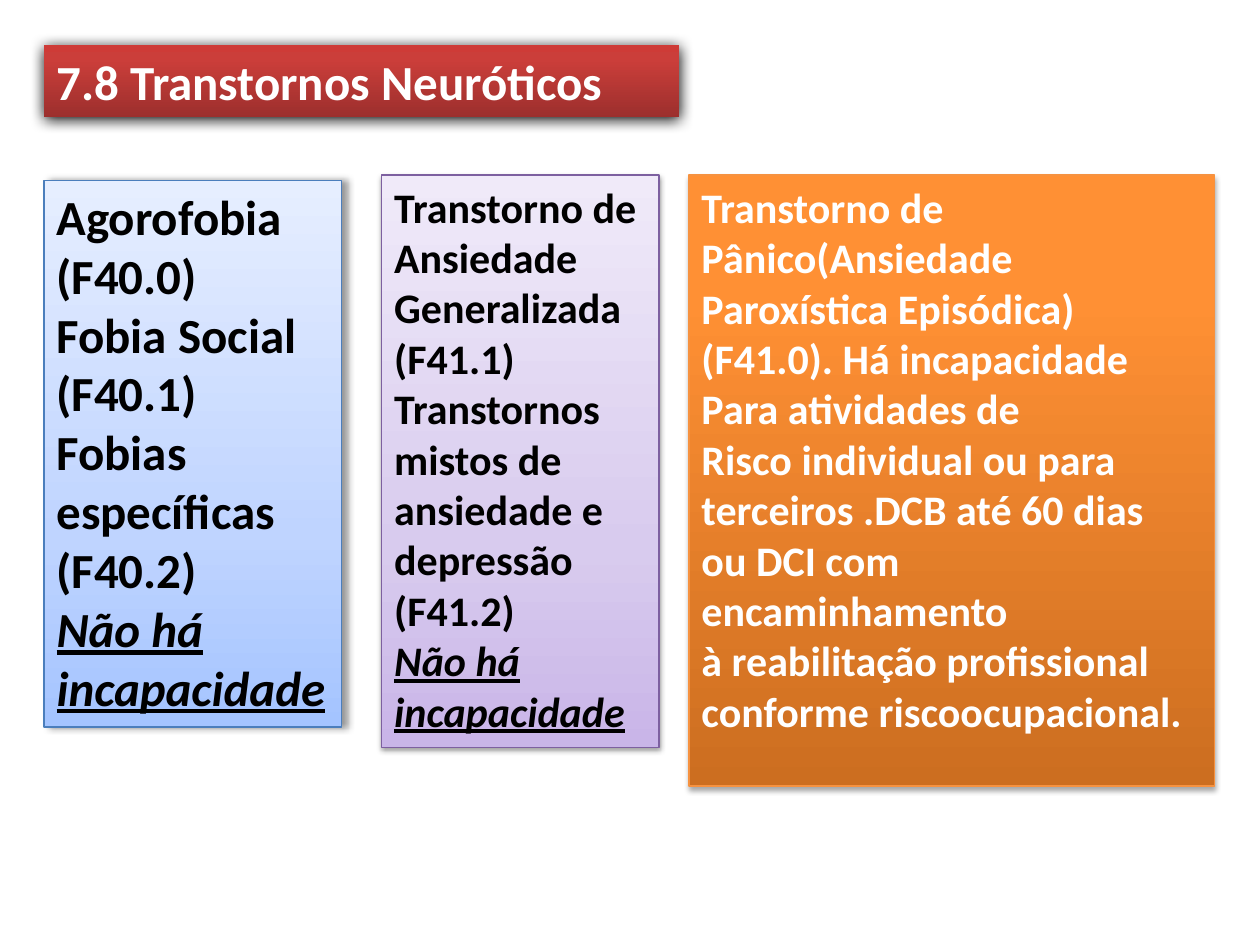
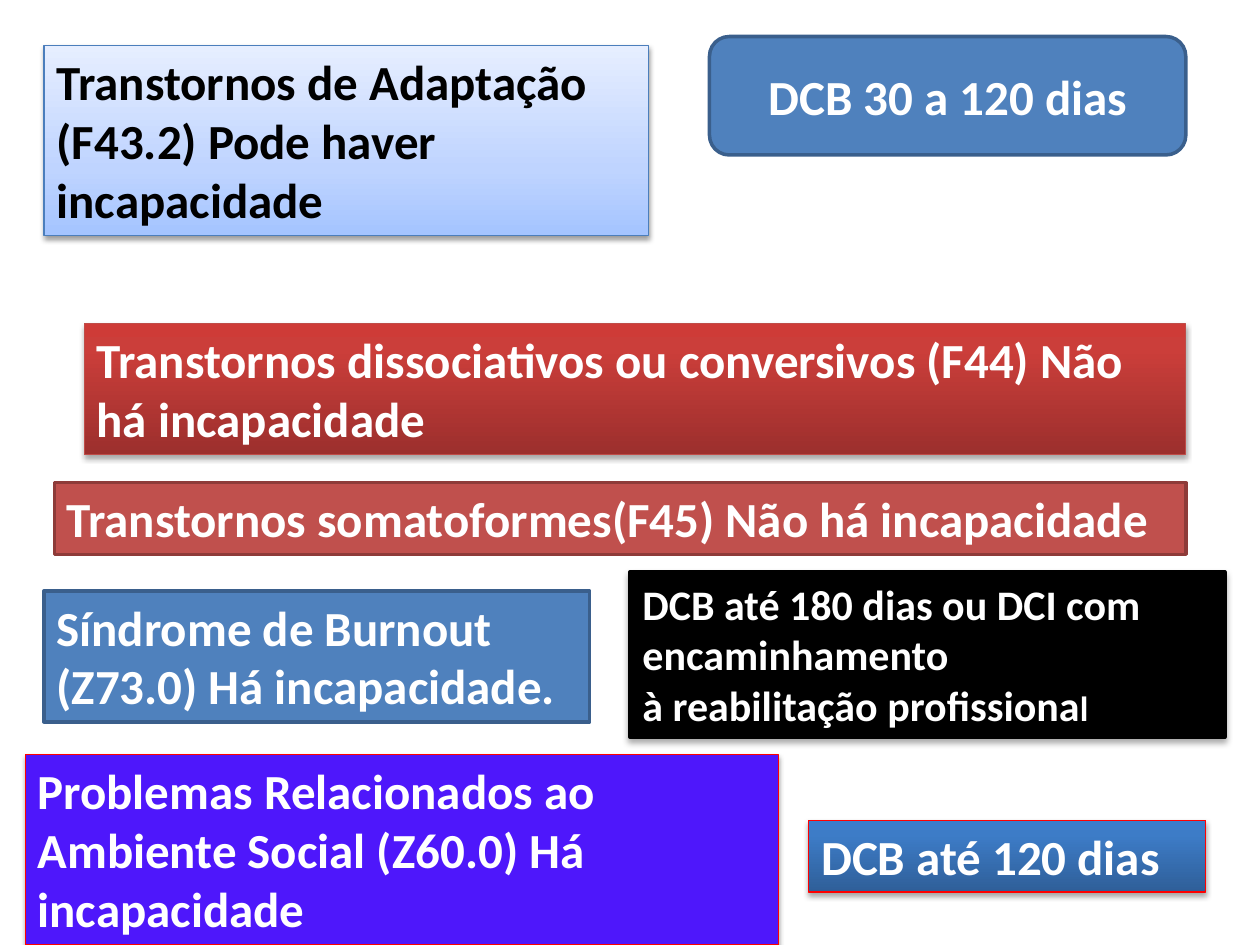
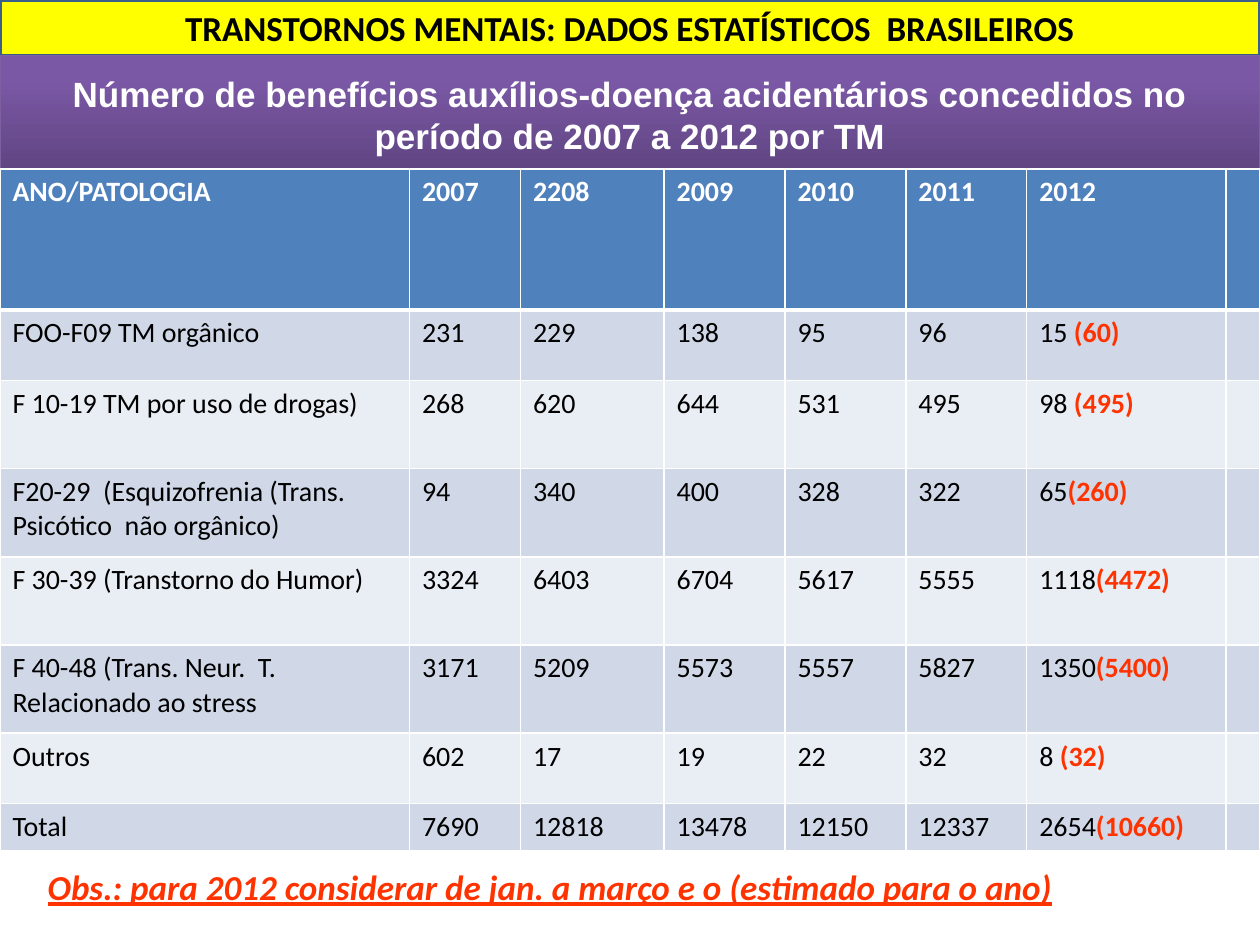
from dataclasses import dataclass
from typing import NamedTuple, Optional, Union

from lxml import etree
from pptx import Presentation
from pptx.dml.color import RGBColor
from pptx.enum.shapes import MSO_SHAPE
from pptx.enum.text import MSO_ANCHOR, MSO_AUTO_SIZE, PP_ALIGN
from pptx.oxml.ns import qn
from pptx.util import Pt

RECT, ROUNDED = MSO_SHAPE.RECTANGLE, MSO_SHAPE.ROUNDED_RECTANGLE
TOP, MIDDLE = MSO_ANCHOR.TOP, MSO_ANCHOR.MIDDLE
LEFT, CENTER = PP_ALIGN.LEFT, PP_ALIGN.CENTER
FIXED_SIZE = MSO_AUTO_SIZE.NONE
TITLE_ONLY_LAYOUT = 5

Gradient = tuple[tuple[int, str], ...]


@dataclass(frozen=True)
class Theme:
    font: str = "Calibri"
    banner_font: str = "Arial"
    large: float = 28
    medium: float = 24
    small: float = 20
    cell: float = 16
    white: str = "FFFFFF"
    black: str = "000000"
    alert: str = "FF3300"
    blue: str = "4F81BD"
    blue_edge: str = "3A5F8C"
    brick: str = "C0504D"
    brick_edge: str = "8E3B39"
    violet: str = "4E17FB"
    red_edge: str = "FF0000"
    yellow: str = "FFFF00"
    bands: tuple[str, str] = ("D0D8E8", "E9EDF4")
    # Gradients run from bottom to top
    red_fade: Gradient = ((0, "9C2F2D"), (80, "CB3E3A"), (100, "CE3B37"))
    sky_fade: Gradient = ((0, "A4C4FF"), (35, "BFD4FF"), (100, "E6EEFF"))
    lilac_fade: Gradient = ((0, "C9B5E8"), (35, "D8CBEE"), (100, "F0EAF9"))
    orange_fade: Gradient = ((0, "CC6E20"), (80, "FF9034"), (100, "FF9136"))
    blue_fade: Gradient = ((0, "2F5F99"), (80, "3D7CC7"), (100, "3A7CCB"))
    purple_fade: Gradient = ((0, "5F4480"), (80, "7B58A6"), (100, "7C57A8"))


THEME = Theme()


class Shadow(NamedTuple):
    opacity: int
    blur: float
    distance: float
    angle: int = 90


SOFT = Shadow(38, 3.1, 1.6)
STRONG = Shadow(35, 3.1, 1.8)


class Look(NamedTuple):
    fill: Union[str, Gradient, None]
    line: Optional[str] = None
    line_width: float = 0.75
    shadow: Optional[Shadow] = None
    color: str = THEME.white


RED_TITLE = Look(THEME.red_fade, shadow=Shadow(100, 8.5, 1))
SKY = Look(THEME.sky_fade, "4B7EBC", shadow=SOFT, color=THEME.black)
SKY_SIDE = SKY._replace(shadow=Shadow(40, 4, 3, 0))
LILAC = Look(THEME.lilac_fade, "7D60A0", shadow=SOFT, color=THEME.black)
ORANGE = Look(THEME.orange_fade, "F69240", shadow=STRONG)
RED = Look(THEME.red_fade, "BF4C48", shadow=STRONG)
BLUE = Look(THEME.blue, THEME.blue_edge, 2)
BRICK = Look(THEME.brick, THEME.brick_edge, 2)
BLACK = Look(THEME.black, THEME.black, 2.25, Shadow(32, 3.5, 2.2))
VIOLET = Look(THEME.violet, THEME.red_edge, shadow=STRONG)
BLUE_FADE = Look(THEME.blue_fade, THEME.red_edge, shadow=STRONG)
YELLOW = Look(THEME.yellow, THEME.blue_edge, 2, color=THEME.black)
PURPLE = Look(THEME.purple_fade, "7D60A0", shadow=STRONG)
PLAIN = Look(None, color=THEME.alert)


class Run(NamedTuple):
    text: str
    stressed: bool = False  # italic and underlined
    size: Optional[float] = None
    color: Optional[str] = None
    bold: Optional[bool] = None


class Box(NamedTuple):
    left: float
    top: float
    width: float
    height: float


Line = Union[str, Run, tuple[Run, ...]]


@dataclass(frozen=True)
class Panel:
    box: Box
    look: Look
    lines: tuple[Line, ...]
    size: float = THEME.large
    font: str = THEME.font
    align: PP_ALIGN = LEFT
    anchor: MSO_ANCHOR = TOP
    outline: MSO_SHAPE = RECT


def write_lines(frame, lines: tuple[Line, ...], size: float, color: str,
                font: str = THEME.font, bold: bool = True, align: PP_ALIGN = LEFT) -> None:
    for index, line in enumerate(lines):
        paragraph = frame.paragraphs[0] if index == 0 else frame.add_paragraph()
        paragraph.alignment = align
        if isinstance(line, str):
            line = Run(line)
        for part in (line,) if isinstance(line, Run) else line:
            run = paragraph.add_run()
            run.text = part.text
            run.font.name = font
            run.font.size = Pt(part.size or size)
            run.font.bold = bold if part.bold is None else part.bold
            run.font.color.rgb = RGBColor.from_string(part.color or color)
            if part.stressed:
                run.font.italic = run.font.underline = True


def add_color(parent, color: str):
    return etree.SubElement(parent, qn("a:srgbClr"), val=color)


def apply_look(shape, look: Look) -> None:
    # Fill
    if look.fill is None:
        shape.fill.background()
    elif isinstance(look.fill, str):
        shape.fill.solid()
        shape.fill.fore_color.rgb = RGBColor.from_string(look.fill)
    else:
        shape.fill.gradient()
        shape.fill.gradient_angle = 90
        stops = shape._element.spPr.find(qn("a:gradFill")).find(qn("a:gsLst"))
        for stop in list(stops):
            stops.remove(stop)
        for position, color in look.fill:
            add_color(etree.SubElement(stops, qn("a:gs"), pos=str(position * 1000)), color)
    # Line
    if look.line is None:
        shape.line.fill.background()
    else:
        shape.line.color.rgb = RGBColor.from_string(look.line)
        shape.line.width = Pt(look.line_width)
    # Shadow
    shape.shadow.inherit = False
    if look.shadow:
        effects = shape._element.spPr.find(qn("a:effectLst"))
        outer = etree.SubElement(
            effects, qn("a:outerShdw"), blurRad=str(Pt(look.shadow.blur)),
            dist=str(Pt(look.shadow.distance)), dir=str(look.shadow.angle * 60000),
            rotWithShape="0")
        etree.SubElement(add_color(outer, THEME.black), qn("a:alpha"),
                         val=str(look.shadow.opacity * 1000))


def draw_panel(slide, panel: Panel, is_title: bool) -> None:
    edges = [Pt(length) for length in panel.box]
    if is_title:
        shape = slide.shapes.title
        shape.left, shape.top, shape.width, shape.height = edges
    elif panel.look.fill is None:
        shape = slide.shapes.add_textbox(*edges)
    else:
        shape = slide.shapes.add_shape(panel.outline, *edges)
    apply_look(shape, panel.look)
    frame = shape.text_frame
    frame.word_wrap = True
    frame.auto_size = FIXED_SIZE
    frame.vertical_anchor = panel.anchor
    write_lines(frame, panel.lines, panel.size, panel.look.color, panel.font, align=panel.align)


def add_panel_slide(deck, panels: tuple[Panel, ...]):
    """Add a slide whose first panel is its title."""
    slide = deck.slides.add_slide(deck.slide_layouts[TITLE_ONLY_LAYOUT])
    for index, panel in enumerate(panels):
        draw_panel(slide, panel, is_title=index == 0)
    return slide


# Slide 1: neurotic disorders
NO_INCAPACITY = (Run("Não há", stressed=True), Run("incapacidade", stressed=True))
NEUROTIC = (
    Panel(Box(25.2, 25.9, 362.9, 41), RED_TITLE, ("7.8 Transtornos Neuróticos",)),
    Panel(Box(25.2, 103, 170, 312.5), SKY_SIDE, (
        "Agorofobia", "(F40.0)", "Fobia Social", "(F40.1)", "Fobias", "específicas",
        "(F40.2)", *NO_INCAPACITY)),
    Panel(Box(218.2, 100, 158.4, 327), LILAC, (
        "Transtorno de", "Ansiedade", "Generalizada", "(F41.1)", "Transtornos", "mistos de",
        "ansiedade e", "depressão", "(F41.2)", *NO_INCAPACITY), THEME.medium),
    Panel(Box(393.8, 100, 300.2, 349.2), ORANGE, (
        "Transtorno de", "Pânico(Ansiedade",
        "Paroxística Episódica) (F41.0). Há incapacidade", "Para atividades de",
        "Risco individual ou para terceiros .DCB até 60 dias", "ou DCI com encaminhamento",
        "à reabilitação profissional", "conforme riscoocupacional."), THEME.medium),
)

# Slide 2: adaptation and social disorders
ADAPTATION = (
    Panel(Box(25.2, 25.9, 345.6, 108.7), SKY,
          ("Transtornos de Adaptação (F43.2) Pode haver incapacidade",)),
    Panel(Box(405.4, 20.9, 272.2, 67.7), BLUE, ("DCB 30 a 120 dias",),
          align=CENTER, anchor=MIDDLE, outline=ROUNDED),
    Panel(Box(48.2, 185, 629.3, 74.9), RED,
          ("Transtornos dissociativos ou conversivos (F44) Não há incapacidade",)),
    Panel(Box(31, 275.8, 646.6, 41), BRICK,
          ("Transtornos somatoformes(F45) Não há incapacidade",)),
    Panel(Box(25.2, 337.7, 311.8, 74.9), BLUE,
          ("Síndrome de Burnout (Z73.0) Há incapacidade.",)),
    Panel(Box(360, 326.9, 339.8, 94.3), BLACK, (
        "DCB até 180 dias ou DCI com encaminhamento",
        (Run("à reabilitação profissiona"), Run("l", size=THEME.small))), THEME.medium),
    Panel(Box(14.4, 431.3, 430.6, 108.7), VIOLET,
          ("Problemas Relacionados ao Ambiente Social (Z60.0) Há", "incapacidade")),
    Panel(Box(462.2, 468.7, 226.8, 41), BLUE_FADE, ("DCB até 120 dias",)),
)

# Slide 3: statistics
STATISTICS = (
    Panel(Box(0, 0, 720, 31.7), YELLOW,
          ("TRANSTORNOS MENTAIS: DADOS ESTATÍSTICOS  BRASILEIROS",), THEME.small, align=CENTER),
    Panel(Box(0, 31.7, 720, 67.7), PURPLE,
          ("Número de benefícios auxílios-doença acidentários concedidos no "
           "período de 2007 a 2012 por TM",),
          THEME.small, THEME.banner_font, CENTER, MIDDLE),
    Panel(Box(20.2, 491, 674.6, 31.7), PLAIN,
          (Run("Obs.: para 2012 considerar de jan. a março e o (estimado para o ano)",
               stressed=True),), THEME.small),
)
TABLE_TOP = 96.5
COLUMN_WIDTHS = (234, 63.4, 82.1, 69.1, 69.1, 69.1, 113.8, 19.4)
ROW_HEIGHTS = (80.6, 40.3, *[50.4] * 4, 40.3, 26.6)
HEADINGS = ("ANO/PATOLOGIA", "2007", "2208", "2009", "2010", "2011", "2012", "")


class Pathology(NamedTuple):
    name: str
    yearly: tuple[int, ...]
    first_quarter: str
    estimate: str


PATHOLOGIES = (
    Pathology("FOO-F09 TM orgânico", (231, 229, 138, 95, 96), "15 ", "(60)"),
    Pathology("F 10-19 TM por uso de drogas)", (268, 620, 644, 531, 495), "98 ", "(495)"),
    Pathology("F20-29  (Esquizofrenia (Trans. Psicótico  não orgânico)",
              (94, 340, 400, 328, 322), "65", "(260)"),
    Pathology("F 30-39 (Transtorno do Humor)", (3324, 6403, 6704, 5617, 5555),
              "1118", "(4472)"),
    Pathology("F 40-48 (Trans. Neur.  T. Relacionado ao stress",
              (3171, 5209, 5573, 5557, 5827), "1350", "(5400)"),
    Pathology("Outros", (602, 17, 19, 22, 32), "8 ", "(32)"),
    Pathology("Total", (7690, 12818, 13478, 12150, 12337), "2654", "(10660)"),
)


def fill_cell(cell, line: Line, row: int) -> None:
    # Borders precede the fill; the rule under the header is thicker
    widths = {"L": 1, "R": 1, "T": 3 if row == 1 else 1, "B": 3 if row == 0 else 1}
    properties = cell._tc.get_or_add_tcPr()
    for side, width in widths.items():
        border = etree.SubElement(properties, qn(f"a:ln{side}"), w=str(Pt(width)))
        add_color(etree.SubElement(border, qn("a:solidFill")), THEME.white)
    is_header = row == 0
    cell.fill.solid()
    cell.fill.fore_color.rgb = RGBColor.from_string(
        THEME.blue if is_header else THEME.bands[(row - 1) % 2])
    if line:
        write_lines(cell.text_frame, (line,), THEME.cell,
                    THEME.white if is_header else THEME.black, bold=is_header)
    else:
        etree.SubElement(cell.text_frame.paragraphs[0]._p, qn("a:endParaRPr"),
                         sz=str(int(THEME.cell * 100)))


def add_benefits_table(slide) -> None:
    rows = [HEADINGS] + [
        (item.name, *map(str, item.yearly),
         (Run(item.first_quarter), Run(item.estimate, color=THEME.alert, bold=True)), "")
        for item in PATHOLOGIES]
    benefits = slide.shapes.add_table(
        len(rows), len(HEADINGS), Pt(0), Pt(TABLE_TOP),
        Pt(sum(COLUMN_WIDTHS)), Pt(sum(ROW_HEIGHTS))).table
    for column, width in zip(benefits.columns, COLUMN_WIDTHS):
        column.width = Pt(width)
    for row, (height, lines) in enumerate(zip(ROW_HEIGHTS, rows)):
        benefits.rows[row].height = Pt(height)
        for column, line in enumerate(lines):
            fill_cell(benefits.cell(row, column), line, row)


def main() -> None:
    deck = Presentation()
    deck.slide_width, deck.slide_height = Pt(720), Pt(540)
    add_panel_slide(deck, NEUROTIC)
    add_panel_slide(deck, ADAPTATION)
    add_benefits_table(add_panel_slide(deck, STATISTICS))
    deck.save("out.pptx")


if __name__ == "__main__":
    main()
